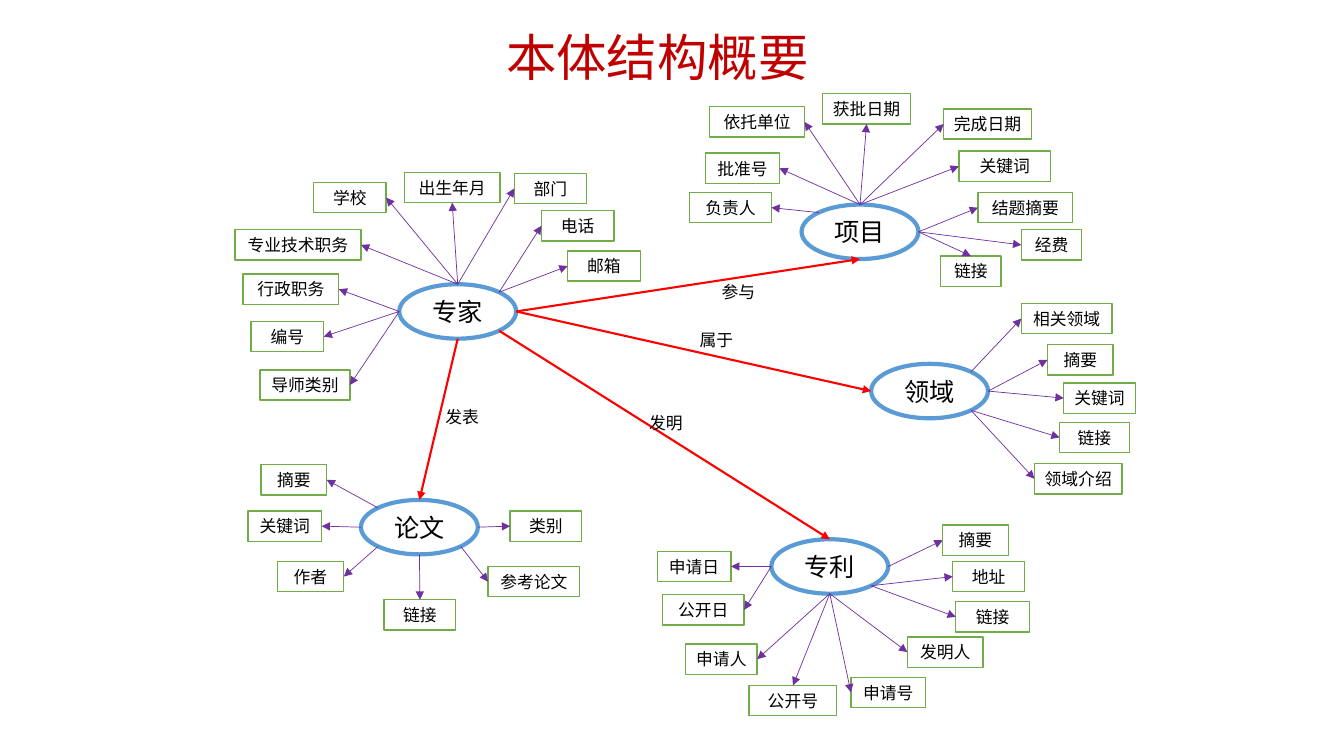
from math import sqrt

from lxml import etree
from pptx import Presentation
from pptx.dml.color import RGBColor
from pptx.enum.shapes import MSO_CONNECTOR, MSO_SHAPE
from pptx.enum.text import MSO_ANCHOR, MSO_AUTO_SIZE, PP_ALIGN
from pptx.oxml.ns import qn
from pptx.util import Inches, Pt

OVAL, RECTANGLE = MSO_SHAPE.OVAL, MSO_SHAPE.RECTANGLE
STRAIGHT = MSO_CONNECTOR.STRAIGHT
MIDDLE = MSO_ANCHOR.MIDDLE
LEFT, CENTER = PP_ALIGN.LEFT, PP_ALIGN.CENTER
NO_AUTOFIT = MSO_AUTO_SIZE.NONE

FONT = "Noto Sans CJK SC"
WHITE, BLACK, DARK_RED, RED = "FFFFFF", "000000", "C00000", "FF0000"
BLUE, GREEN, PURPLE = "5B9BD5", "70AD47", "7030A0"
CLASS_W, CLASS_H, ATTRIBUTE_H = 1.16, 0.54, 0.3

# Direction from the centre of an outline, in half widths and half heights
D = sqrt(0.5)
SITES = {"t": (0, -1), "b": (0, 1), "l": (-1, 0), "r": (1, 0),
         "tl": (-D, -D), "tr": (D, -D), "bl": (-D, D), "br": (D, D)}

# Class: (left, top, attributes)
# Attribute: (text, left, top, width, site on the class, side of the attribute)
CLASSES = {
    "专家": (3.96, 2.82, [
        ("出生年月", 4.01, 1.71, 0.95, "t", "b"),
        ("部门", 5.1, 1.72, 0.72, "t", "l"),
        ("电话", 5.37, 2.09, 0.72, "tr", "l"),
        ("邮箱", 5.63, 2.49, 0.72, "tr", "l"),
        ("学校", 3.11, 1.81, 0.72, "t", "r"),
        ("专业技术职务", 2.33, 2.28, 1.25, "t", "r"),
        ("行政职务", 2.41, 2.72, 0.95, "l", "r"),
        ("编号", 2.49, 3.19, 0.72, "l", "r"),
        ("导师类别", 2.58, 3.67, 0.89, "l", "r"),
    ]),
    "论文": (3.58, 4.96, [
        ("摘要", 2.59, 4.61, 0.65, "tl", "r"),
        ("关键词", 2.46, 5.07, 0.73, "l", "r"),
        ("作者", 2.75, 5.57, 0.66, "bl", "r"),
        ("链接", 3.81, 5.95, 0.71, "b", "t"),
        ("参考论文", 4.84, 5.62, 0.91, "br", "l"),
        ("类别", 5.06, 5.07, 0.71, "r", "l"),
    ]),
    "专利": (7.65, 5.35, [
        ("申请日", 6.52, 5.47, 0.73, "l", "r"),
        ("公开日", 6.57, 5.9, 0.81, "l", "r"),
        ("申请人", 6.8, 6.39, 0.71, "b", "r"),
        ("公开号", 7.43, 6.8, 0.87, "b", "t"),
        ("申请号", 8.44, 6.72, 0.74, "b", "l"),
        ("发明人", 9, 6.32, 0.75, "b", "l"),
        ("链接", 9.48, 5.97, 0.73, "br", "l"),
        ("地址", 9.45, 5.57, 0.71, "br", "l"),
        ("摘要", 9.35, 5.21, 0.65, "r", "l"),
    ]),
    "项目": (7.95, 2.03, [
        ("负责人", 6.84, 1.91, 0.81, "tl", "r"),
        ("批准号", 7, 1.52, 0.73, "t", "r"),
        ("依托单位", 7.04, 1.06, 0.94, "t", "r"),
        ("获批日期", 8.16, 0.93, 0.87, "t", "b"),
        ("完成日期", 9.36, 1.08, 0.87, "t", "l"),
        ("关键词", 9.51, 1.5, 0.91, "t", "l"),
        ("结题摘要", 9.7, 1.91, 0.94, "r", "l"),
        ("经费", 10.13, 2.28, 0.6, "r", "l"),
        ("链接", 9.33, 2.54, 0.6, "r", "t"),
    ]),
    "领域": (8.64, 3.61, [
        ("相关领域", 10.13, 3.01, 0.9, "tr", "l"),
        ("摘要", 10.39, 3.42, 0.65, "r", "l"),
        ("关键词", 10.55, 3.8, 0.71, "r", "l"),
        ("链接", 10.51, 4.19, 0.69, "br", "l"),
        ("领域介绍", 10.26, 4.6, 0.87, "br", "l"),
    ]),
}

# Relation of the expert: (label, left, top, expert site, class, class site)
RELATIONS = [
    ("发表", 4.32, 3.99, "b", "论文", "t"),
    ("发明", 6.34, 4.04, "br", "专利", "t"),
    ("属于", 6.84, 3.22, "r", "领域", "l"),
    ("参与", 7.06, 2.75, "r", "项目", "b"),
]


def color(hex_code):
    return RGBColor.from_string(hex_code)


def write(shape, text, size, hex_code=BLACK, align=CENTER, wrap=False):
    frame = shape.text_frame
    frame.text = text
    frame.auto_size = NO_AUTOFIT
    frame.word_wrap = wrap
    frame.vertical_anchor = MIDDLE
    paragraph = frame.paragraphs[0]
    paragraph.alignment = align
    font = paragraph.runs[0].font
    font.name, font.size = FONT, Pt(size)
    font.color.rgb = color(hex_code)
    # East Asian typeface follows the Latin one
    latin = font._element.find(qn("a:latin"))
    east_asian = etree.Element(qn("a:ea"), typeface=FONT)
    latin.addnext(east_asian)


def add_node(slide, preset, text, box, outline, line_width, size):
    node = slide.shapes.add_shape(preset, *map(Inches, box))
    node.shadow.inherit = False
    node.fill.solid()
    node.fill.fore_color.rgb = color(WHITE)
    node.line.color.rgb = color(outline)
    node.line.width = Pt(line_width)
    write(node, text, size)


def site_point(box, site):
    left, top, width, height = box
    dx, dy = SITES[site]
    return left + width / 2 * (1 + dx), top + height / 2 * (1 + dy)


def add_arrow(slide, start, end, hex_code, width):
    arrow = slide.shapes.add_connector(STRAIGHT, *map(Inches, (*start, *end)))
    arrow.line.color.rgb = color(hex_code)
    arrow.line.width = Pt(width)
    etree.SubElement(arrow.line._get_or_add_ln(), qn("a:tailEnd"), type="triangle")
    etree.SubElement(arrow._element.spPr, qn("a:effectLst"))


def class_box(name):
    left, top, _ = CLASSES[name]
    return left, top, CLASS_W, CLASS_H


def add_class(slide, name):
    oval = class_box(name)
    add_node(slide, OVAL, name, oval, BLUE, 3, 18)
    for text, left, top, width, site, side in CLASSES[name][2]:
        box = (left, top, width, ATTRIBUTE_H)
        add_node(slide, RECTANGLE, text, box, GREEN, 1, 12)
        add_arrow(slide, site_point(oval, site), site_point(box, side), PURPLE, 0.5)


def add_relation(slide, label, left, top, expert_site, name, site):
    start = site_point(class_box("专家"), expert_site)
    add_arrow(slide, start, site_point(class_box(name), site), RED, 1.5)
    caption = slide.shapes.add_textbox(*map(Inches, (left, top, 0.57, 0.3)))
    write(caption, label, 12, align=LEFT, wrap=True)


def main():
    deck = Presentation()
    deck.slide_width, deck.slide_height = Inches(13.33), Inches(7.5)
    slide = deck.slides.add_slide(deck.slide_layouts[5])

    # Title
    title = slide.shapes.title
    title.left, title.top = Inches(4.92), Inches(0.2)
    title.width, title.height = Inches(3.23), Inches(0.71)
    write(title, "本体结构概要", 36, DARK_RED, LEFT)

    # Classes with their attributes, then the relations between classes
    for name in CLASSES:
        add_class(slide, name)
    for relation in RELATIONS:
        add_relation(slide, *relation)

    deck.save("out.pptx")


main()
